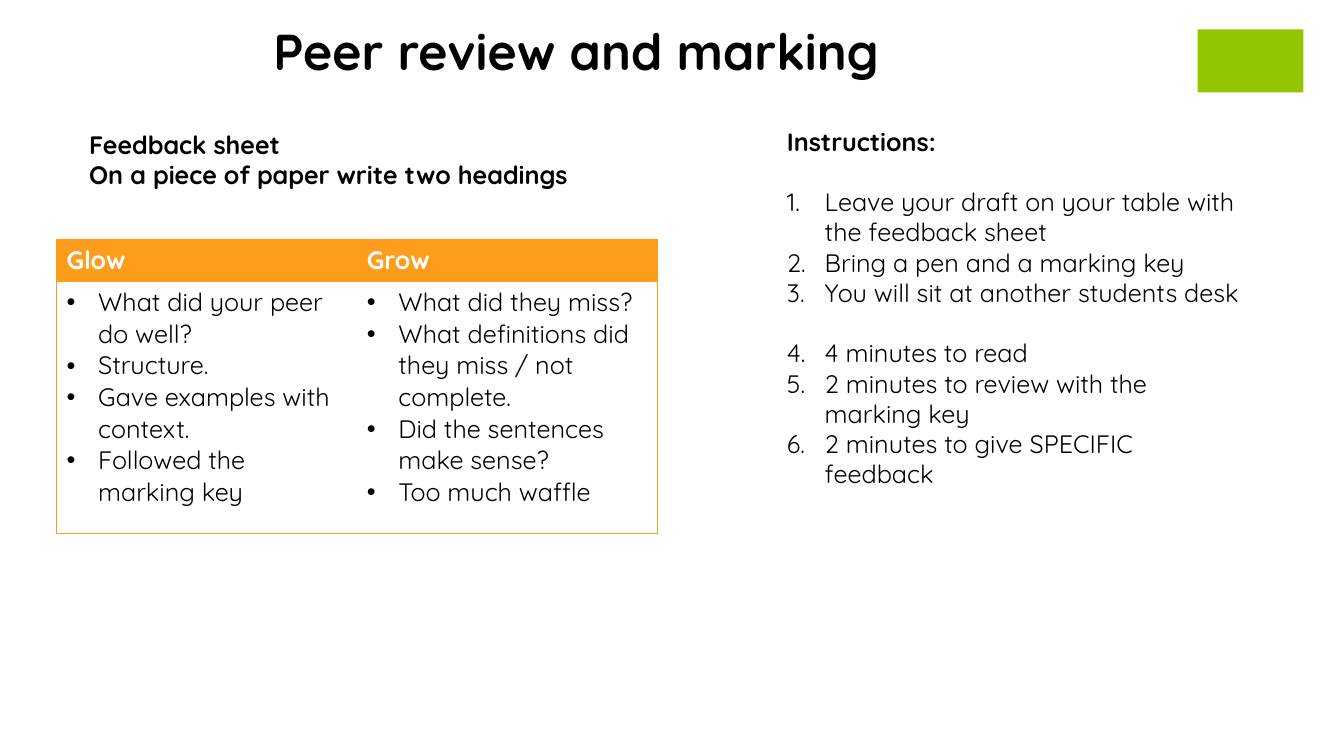
from lxml import etree
from pptx import Presentation
from pptx.dml.color import RGBColor
from pptx.enum.shapes import MSO_SHAPE
from pptx.enum.text import MSO_ANCHOR, MSO_AUTO_SIZE
from pptx.oxml.ns import qn
from pptx.util import Pt

RECT = MSO_SHAPE.RECTANGLE
TOP = MSO_ANCHOR.TOP
NO_FIT = MSO_AUTO_SIZE.NONE

BLACK = RGBColor(0x00, 0x00, 0x00)
WHITE = RGBColor(0xFF, 0xFF, 0xFF)
GREEN = RGBColor(0x94, 0xC6, 0x00)
AMBER = RGBColor(0xFE, 0x9D, 0x1C)
FONT = "Quicksand"


def write(para, text, size=18, bold=False, color=BLACK, mark=None,
          indent=0, before=0):
    """Fill a paragraph; mark is a bullet sign or a numbering scheme."""
    if mark:
        props = para._p.get_or_add_pPr()
        props.set("marL", str(Pt(indent)))
        props.set("indent", str(-Pt(indent)))
        if mark == "•":
            etree.SubElement(props, qn("a:buFont")).set("typeface", "Arial")
            etree.SubElement(props, qn("a:buChar")).set("char", mark)
        else:
            etree.SubElement(props, qn("a:buAutoNum")).set("type", mark)
    para.space_before = Pt(before)
    para.text = text
    font = para.font
    run = para.runs[0].font
    for item in (font, run):
        item.name, item.size, item.bold = FONT, Pt(size), bold
        item.color.rgb = color


class Page:
    def __init__(self, deck, wide):
        self.slide = deck.slides.add_slide(deck.slide_layouts[5])
        self.wide = wide
        self.shapes = self.slide.shapes

    def fill(self, frame, lines, wrap=True):
        frame.word_wrap = wrap
        frame.auto_size = NO_FIT
        frame.vertical_anchor = TOP
        for i, (text, style) in enumerate(lines):
            para = frame.add_paragraph() if i else frame.paragraphs[0]
            write(para, text, **style)

    def title(self, text, left, top, width, height):
        box = self.shapes.title
        box.left, box.top = Pt(left), Pt(top)
        box.width, box.height = Pt(width), Pt(height)
        self.fill(box.text_frame, [(text, dict(size=36, bold=True))], False)
        box.text_frame.paragraphs[0].alignment = 1

    def text(self, lines, left, top, width, height, wrap=True):
        box = self.shapes.add_textbox(Pt(left), Pt(top), Pt(width), Pt(height))
        self.fill(box.text_frame, lines, wrap)

    def block(self, color, left, top, width, height):
        box = self.shapes.add_shape(RECT, Pt(left), Pt(top), Pt(width),
                                    Pt(height))
        box.shadow.inherit = False
        box.fill.solid()
        box.fill.fore_color.rgb = color
        box.line.fill.background()

    def edges(self, cell, shown):
        props = cell._tc.get_or_add_tcPr()
        for side in "LRTB":
            line = etree.SubElement(props, qn("a:ln" + side), w=str(Pt(1)))
            if side in shown:
                paint = etree.SubElement(line, qn("a:solidFill"))
                etree.SubElement(paint, qn("a:srgbClr"), val=str(AMBER))
            else:
                etree.SubElement(line, qn("a:noFill"))

    def table(self, lists, left, top, width, heights):
        grid = self.shapes.add_table(2, len(lists), Pt(left), Pt(top),
                                     Pt(width), Pt(sum(heights))).table
        grid.first_row = grid.horz_banding = False
        for row, height in zip(grid.rows, heights):
            row.height = Pt(height)
        for col, (head, points) in enumerate(lists.items()):
            side = "LR"[col]
            top_cell, body = grid.cell(0, col), grid.cell(1, col)
            for cell, color, shown in ((top_cell, AMBER, side + "TB"),
                                       (body, WHITE, side + "TB")):
                self.edges(cell, shown)
                cell.fill.solid()
                cell.fill.fore_color.rgb = color
            write(top_cell.text_frame.paragraphs[0], head, bold=True,
                  color=WHITE)
            style = dict(mark="•", indent=22.5)
            for i, point in enumerate(points):
                frame = body.text_frame
                para = frame.add_paragraph() if i else frame.paragraphs[0]
                write(para, point, **style)


def main():
    deck = Presentation()
    deck.slide_width, deck.slide_height = Pt(960), Pt(540)
    page = Page(deck, 960)

    # Heading and corner block
    page.block(GREEN, 855.5, 21, 75.5, 45)
    page.title("Peer review and marking", 188, 11, 455, 51)

    # Feedback sheet
    bold = dict(bold=True)
    page.text([("Feedback sheet", bold),
               ("On a piece of paper write two headings", bold)],
              56.6, 88.6, 364, 73, wrap=False)
    page.table({
        "Glow": ["What did your peer do well?", "Structure.",
                 "Gave examples with context.", "Followed the marking key"],
        "Grow": ["What did they miss?",
                 "What definitions did they miss / not complete.",
                 "Did the sentences make sense?", "Too much waffle"],
    }, 40.4, 171, 429, (30, 180))

    # Instructions, with a gap before each group of steps
    lines = [("Instructions:", bold)]
    for group in (["Leave your draft on your table with the feedback sheet",
                   "Bring a pen and a marking key",
                   "You will sit at another students desk"],
                  ["4 minutes to read",
                   "2 minutes to review with the marking key",
                   "2 minutes to give SPECIFIC feedback"]):
        for i, step in enumerate(group):
            lines.append((step, dict(mark="arabicPeriod", indent=27,
                                     before=0 if i else 21.6)))
    page.text(lines, 555, 86.4, 342, 291)

    deck.save("out.pptx")


if __name__ == "__main__":
    main()
